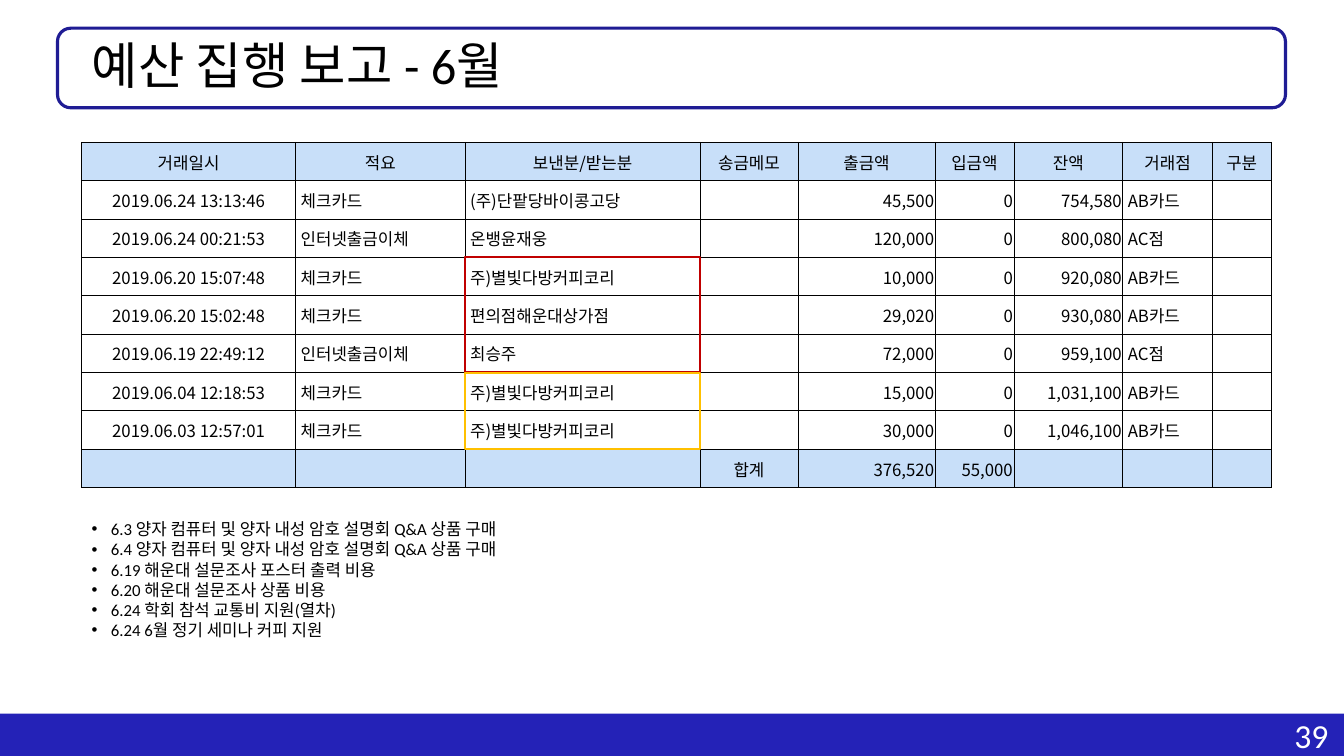
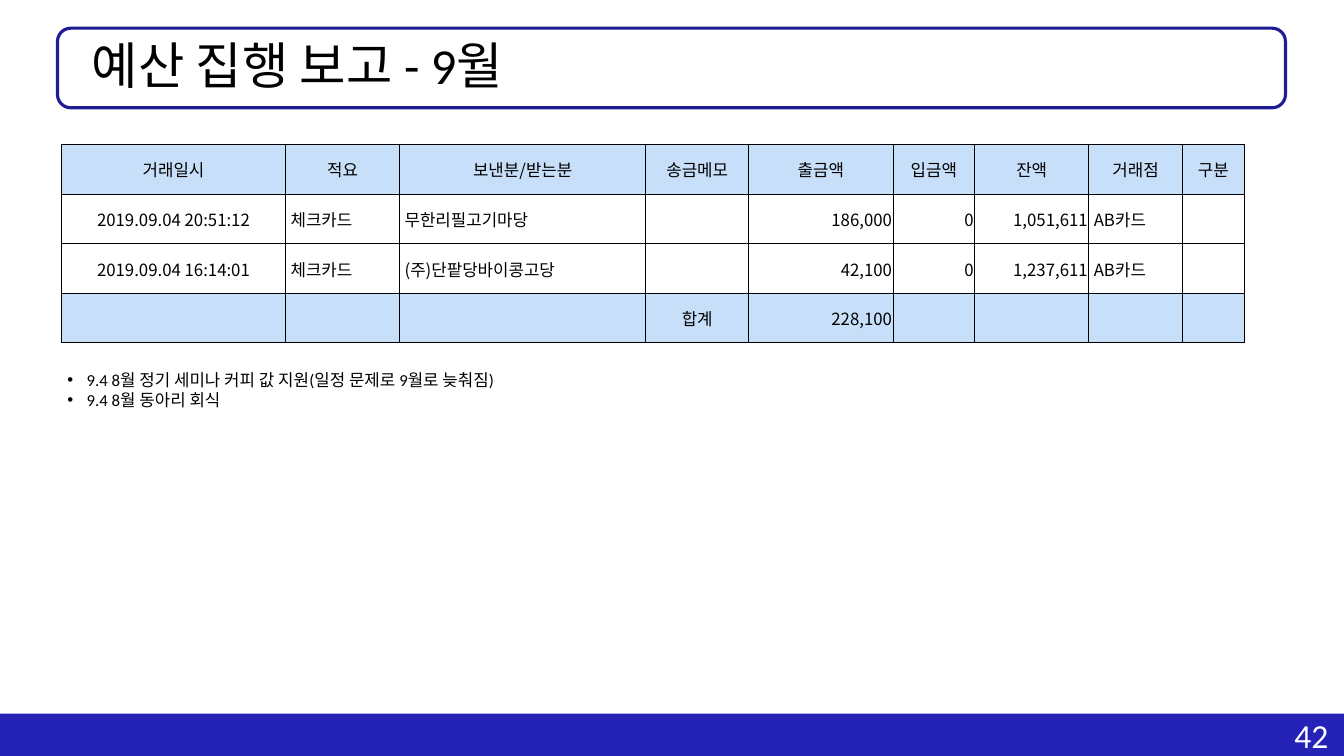
from dataclasses import dataclass
from typing import NamedTuple

import lxml.etree
import pptx
import pptx.dml.color
import pptx.enum.shapes
import pptx.enum.text
import pptx.oxml.ns
import pptx.util

WIDTH, HEIGHT = 13.33, 7.5
COLORS = {
    "band": "2422B7", "frame": "1F1C94", "header": "C8DFF9", "ink": "000000",
    "white": "FFFFFF", "red": "C00000", "amber": "FFC000",
}
LATIN, KOREAN = "Calibri", "Noto Sans CJK KR"
ALIGN = {
    "l": pptx.enum.text.PP_ALIGN.LEFT,
    "c": pptx.enum.text.PP_ALIGN.CENTER,
    "r": pptx.enum.text.PP_ALIGN.RIGHT,
}
MIDDLE = pptx.enum.text.MSO_ANCHOR.MIDDLE
SHAPE = pptx.enum.shapes.MSO_SHAPE

HEADINGS = ("거래일시", "적요", "보낸분/받는분", "송금메모", "출금액",
            "입금액", "잔액", "거래점", "구분")
COLUMN_ALIGN = "cllcrrrlc"
PARTY_COLUMN = 2
CARD, TRANSFER = "체크카드", "인터넷출금이체"
BRANCH = {CARD: "AB카드", TRANSFER: "AC점"}


class Area(NamedTuple):
    """Left, top, width and height in percent of the slide."""
    x: float
    y: float
    w: float
    h: float

    def emu(self) -> tuple[int, ...]:
        return tuple(int(pptx.util.Inches(share * side / 100))
                     for share, side in zip(self, (WIDTH, HEIGHT) * 2))


class Entry(NamedTuple):
    when: str
    kind: str
    party: str
    paid: str
    balance: str

    def cells(self) -> tuple[str, ...]:
        return (self.when, self.kind, self.party, "", self.paid, "0",
                self.balance, BRANCH[self.kind], "")


class Highlight(NamedTuple):
    first_row: int
    rows: int
    color: str


@dataclass(frozen=True)
class Report:
    month: int
    page: int
    table: Area
    columns: tuple[int, ...]  # relative widths
    entries: tuple[Entry, ...]
    paid_total: str
    received_total: str
    remark_area: Area
    remarks: tuple[str, ...]
    highlights: tuple[Highlight, ...] = ()


REPORTS = (
    Report(
        6, 39, Area(6.08, 18.8, 88.5, 45.73),
        (212, 168, 233, 97, 136, 78, 108, 89, 58),
        (
            Entry("2019.06.24 13:13:46", CARD, "(주)단팥당바이콩고당", "45,500", "754,580"),
            Entry("2019.06.24 00:21:53", TRANSFER, "온뱅윤재웅", "120,000", "800,080"),
            Entry("2019.06.20 15:07:48", CARD, "주)별빛다방커피코리", "10,000", "920,080"),
            Entry("2019.06.20 15:02:48", CARD, "편의점해운대상가점", "29,020", "930,080"),
            Entry("2019.06.19 22:49:12", TRANSFER, "최승주", "72,000", "959,100"),
            Entry("2019.06.04 12:18:53", CARD, "주)별빛다방커피코리", "15,000", "1,031,100"),
            Entry("2019.06.03 12:57:01", CARD, "주)별빛다방커피코리", "30,000", "1,046,100"),
        ),
        "376,520", "55,000", Area(6.08, 68, 36.53, 17.47),
        (
            "6.3 양자 컴퓨터 및 양자 내성 암호 설명회 Q&A 상품 구매",
            "6.4 양자 컴퓨터 및 양자 내성 암호 설명회 Q&A 상품 구매",
            "6.19 해운대 설문조사 포스터 출력 비용",
            "6.20 해운대 설문조사 상품 비용",
            "6.24 학회 참석 교통비 지원(열차)",
            "6.24 6월 정기 세미나 커피 지원",
        ),
        (Highlight(3, 3, "red"), Highlight(6, 2, "amber")),
    ),
    Report(
        9, 42, Area(4.58, 19.07, 88, 26.27),
        (222, 113, 244, 102, 143, 81, 113, 93, 61),
        (
            Entry("2019.09.04 20:51:12", CARD, "무한리필고기마당", "186,000", "1,051,611"),
            Entry("2019.09.04 16:14:01", CARD, "(주)단팥당바이콩고당", "42,100", "1,237,611"),
        ),
        "228,100", "", Area(4.28, 48.27, 43.06, 6.67),
        (
            "9.4 8월 정기 세미나 커피 값 지원(일정 문제로 9월로 늦춰짐)",
            "9.4 8월 동아리 회식",
        ),
    ),
)


def rgb(name: str) -> pptx.dml.color.RGBColor:
    return pptx.dml.color.RGBColor.from_string(COLORS[name])


def write(p, text: str, *, size: float = 12, font: str = LATIN,
          color: str = "ink", align: str = "l", bullet: bool = False,
          spacing: float | None = None) -> None:
    """Fill one paragraph with formatted text."""
    if bullet:
        ppr = p._p.get_or_add_pPr()
        indent = int(pptx.util.Inches(0.19))
        ppr.set("marL", str(indent))
        ppr.set("indent", str(-indent))
        for tag, key, value in (("a:buFont", "typeface", "Arial"),
                                ("a:buChar", "char", "•")):
            lxml.etree.SubElement(ppr, pptx.oxml.ns.qn(tag)).set(key, value)
    p.alignment = ALIGN[align]
    if spacing:
        p.line_spacing = spacing
    r = p.add_run()
    r.text = text
    r.font.size = pptx.util.Pt(size)
    r.font.color.rgb = rgb(color)
    r.font.name = font
    east_asian = lxml.etree.SubElement(r._r.get_or_add_rPr(), pptx.oxml.ns.qn("a:ea"))
    east_asian.set("typeface", font)


def add_text(s, area: Area, lines: tuple[str, ...], *, wrap: bool = True,
             anchor=pptx.enum.text.MSO_ANCHOR.TOP, **style) -> None:
    tf = s.shapes.add_textbox(*area.emu()).text_frame
    tf.word_wrap = wrap
    tf.vertical_anchor = anchor
    for i, line in enumerate(lines):
        write(tf.add_paragraph() if i else tf.paragraphs[0], line, **style)


def add_box(s, kind, box: tuple[int, ...], *, fill: str | None = None,
            line: str | None = None, weight: float = 1) -> None:
    sp = s.shapes.add_shape(kind, *box)
    sp.shadow.inherit = False
    if fill:
        sp.fill.solid()
        sp.fill.fore_color.rgb = rgb(fill)
    else:
        sp.fill.background()
    if line:
        sp.line.color.rgb = rgb(line)
        sp.line.width = pptx.util.Pt(weight)
    else:
        sp.line.fill.background()


def add_borders(cell) -> None:
    """Thin lines on all sides; they precede the fill in the cell's XML."""
    tcpr = cell._tc.get_or_add_tcPr()
    for i, side in enumerate(("lnL", "lnR", "lnT", "lnB")):
        ln = lxml.etree.Element(pptx.oxml.ns.qn(f"a:{side}"))
        ln.set("w", str(int(pptx.util.Pt(0.5))))
        solid = lxml.etree.SubElement(ln, pptx.oxml.ns.qn("a:solidFill"))
        lxml.etree.SubElement(solid, pptx.oxml.ns.qn("a:srgbClr")).set("val", COLORS["ink"])
        tcpr.insert(i, ln)


def fill_cell(cell, text: str, align: str, shaded: bool) -> None:
    inset = pptx.util.Inches(0.01)
    cell.margin_top = cell.margin_right = inset
    cell.margin_bottom = 0
    cell.margin_left = pptx.util.Inches(0.05) if align == "l" else inset
    cell.vertical_anchor = MIDDLE
    if shaded:
        cell.fill.solid()
        cell.fill.fore_color.rgb = rgb("header")
    else:
        cell.fill.background()
    add_borders(cell)
    if text:
        write(cell.text_frame.paragraphs[0], text, font=KOREAN, align=align)


def add_ledger(s, report: Report) -> None:
    """Draw the transaction table and the frames around some of its cells."""
    total = ("", "", "", "합계", report.paid_total, report.received_total, "", "", "")
    rows = [HEADINGS, *(e.cells() for e in report.entries), total]
    left, top, width, height = report.table.emu()
    table = s.shapes.add_table(len(rows), len(HEADINGS), left, top, width, height).table
    table.first_row = table.horz_banding = False
    widths = [width * share // sum(report.columns) for share in report.columns]
    row_height = height // len(rows)
    for column, column_width in zip(table.columns, widths):
        column.width = column_width
    for i, values in enumerate(rows):
        table.rows[i].height = row_height
        for j, text in enumerate(values):
            align = COLUMN_ALIGN[j] if i else "c"
            fill_cell(table.cell(i, j), text, align, i in (0, len(rows) - 1))
    for mark in report.highlights:
        box = (left + sum(widths[:PARTY_COLUMN]), top + mark.first_row * row_height,
               widths[PARTY_COLUMN], mark.rows * row_height)
        add_box(s, SHAPE.RECTANGLE, box, line=mark.color, weight=1.5)


def add_furniture(s, title: str, page: int) -> None:
    """Draw the footer band, page number and framed title."""
    add_box(s, SHAPE.RECTANGLE, Area(0, 94.4, 100, 5.6).emu(), fill="band")
    add_text(s, Area(95.57, 93.87, 4.5, 6.67), (str(page),), wrap=False,
             size=24, color="white")
    add_box(s, SHAPE.ROUNDED_RECTANGLE, Area(4.28, 3.73, 91.37, 10.53).emu(),
            line="frame", weight=2.25)
    add_text(s, Area(6.08, 3.73, 86.27, 10.67), (title,), anchor=MIDDLE,
             size=36, spacing=0.9)


def main() -> None:
    prs = pptx.Presentation()
    prs.slide_width = pptx.util.Inches(WIDTH)
    prs.slide_height = pptx.util.Inches(HEIGHT)
    for report in REPORTS:
        s = prs.slides.add_slide(prs.slide_layouts[6])
        add_furniture(s, f"예산 집행 보고 - {report.month}월", report.page)
        add_ledger(s, report)
        add_text(s, report.remark_area, report.remarks, bullet=True)
    prs.save("out.pptx")


if __name__ == "__main__":
    main()
